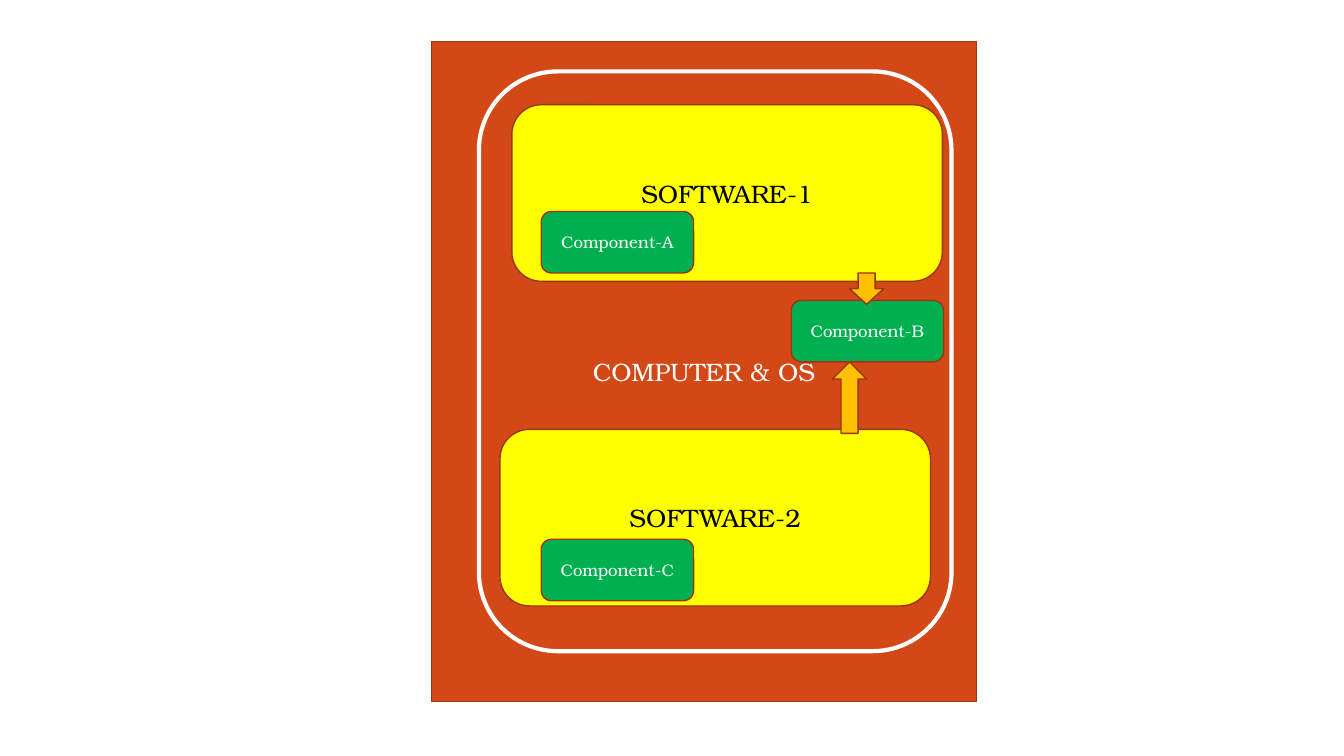
from pptx import Presentation
from pptx.dml.color import RGBColor
from pptx.enum.shapes import MSO_SHAPE as SHAPE
from pptx.enum.text import MSO_ANCHOR, PP_ALIGN
from pptx.util import Cm, Pt

FONT = "TeX Gyre Bonum"
WHITE = RGBColor(0xFF, 0xFF, 0xFF)
BLACK = RGBColor(0x00, 0x00, 0x00)
ORANGE = RGBColor(0xD3, 0x48, 0x17)
BROWN = RGBColor(0x9C, 0x35, 0x11)
YELLOW = RGBColor(0xFF, 0xFF, 0x00)
GREEN = RGBColor(0x00, 0xB0, 0x50)
AMBER = RGBColor(0xFF, 0xC0, 0x00)

# Content: label, left, top (cm)
SOFTWARE = [("SOFTWARE-1", 12.9, 2.64), ("SOFTWARE-2", 12.6, 10.82)]
COMPONENTS = [
    ("Component-A", 13.64, 5.33),
    ("Component-B", 19.94, 7.57),
    ("Component-C", 13.64, 13.59),
]
# Arrows to Component-B: left, top, height (cm), rotation
ARROWS = [(21.41, 6.88, 0.79, 0), (20.98, 9.12, 1.8, 180)]
SOFTWARE_SIZE = (10.85, 4.45)
COMPONENT_SIZE = (3.84, 1.55)
ARROW_WIDTH = 0.86

prs = Presentation()
prs.slide_width, prs.slide_height = Cm(33.87), Cm(19.05)
s = prs.slides.add_slide(prs.slide_layouts[6])


def add_box(kind, left, top, width, height, fill=None, line=BROWN, line_width=1):
    sp = s.shapes.add_shape(kind, Cm(left), Cm(top), Cm(width), Cm(height))
    sp.shadow.inherit = False
    if fill is None:
        sp.fill.background()
    else:
        sp.fill.solid()
        sp.fill.fore_color.rgb = fill
    sp.line.color.rgb = line
    sp.line.width = Pt(line_width)
    return sp


def set_label(sp, text, size, color):
    tf = sp.text_frame
    tf.word_wrap = True
    tf.vertical_anchor = MSO_ANCHOR.MIDDLE
    p = tf.paragraphs[0]
    p.text = text
    p.alignment = PP_ALIGN.CENTER
    p.font.name = FONT
    p.font.size = Pt(size)
    p.font.color.rgb = color


# Computer
computer = add_box(SHAPE.RECTANGLE, 10.87, 1.04, 13.74, 16.64, ORANGE)
set_label(computer, "COMPUTER & OS", 18, WHITE)

# Software blocks
for text, left, top in SOFTWARE:
    sp = add_box(SHAPE.ROUNDED_RECTANGLE, left, top, *SOFTWARE_SIZE, YELLOW)
    set_label(sp, text, 18, BLACK)

# White outline around the software
add_box(SHAPE.ROUNDED_RECTANGLE, 12.07, 1.8, 11.91, 14.61, line=WHITE, line_width=3)

# Components
for text, left, top in COMPONENTS:
    sp = add_box(SHAPE.ROUNDED_RECTANGLE, left, top, *COMPONENT_SIZE, GREEN)
    set_label(sp, text, 12, WHITE)

# Arrows
for left, top, height, rotation in ARROWS:
    sp = add_box(SHAPE.DOWN_ARROW, left, top, ARROW_WIDTH, height, AMBER)
    sp.rotation = rotation

prs.save("out.pptx")
